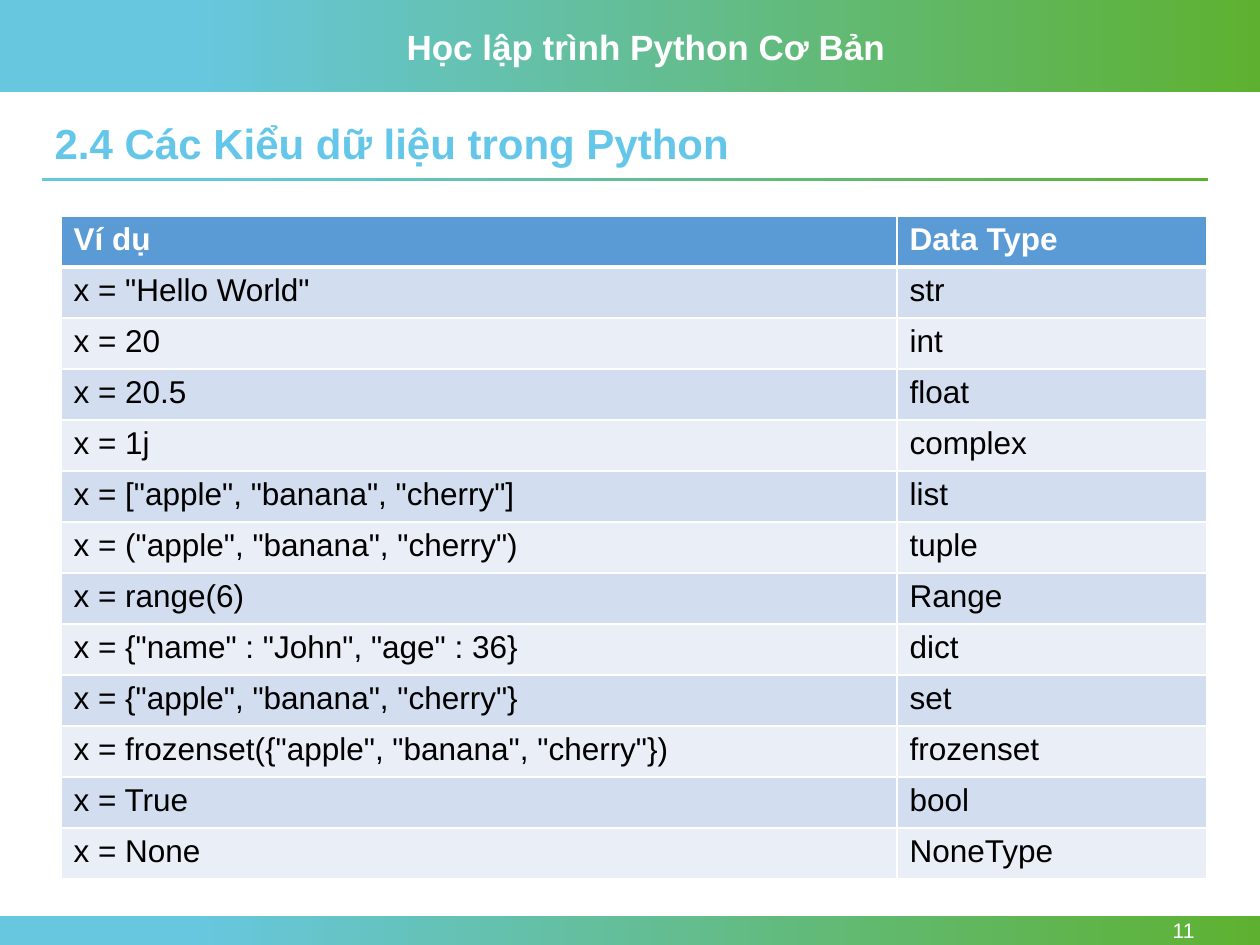
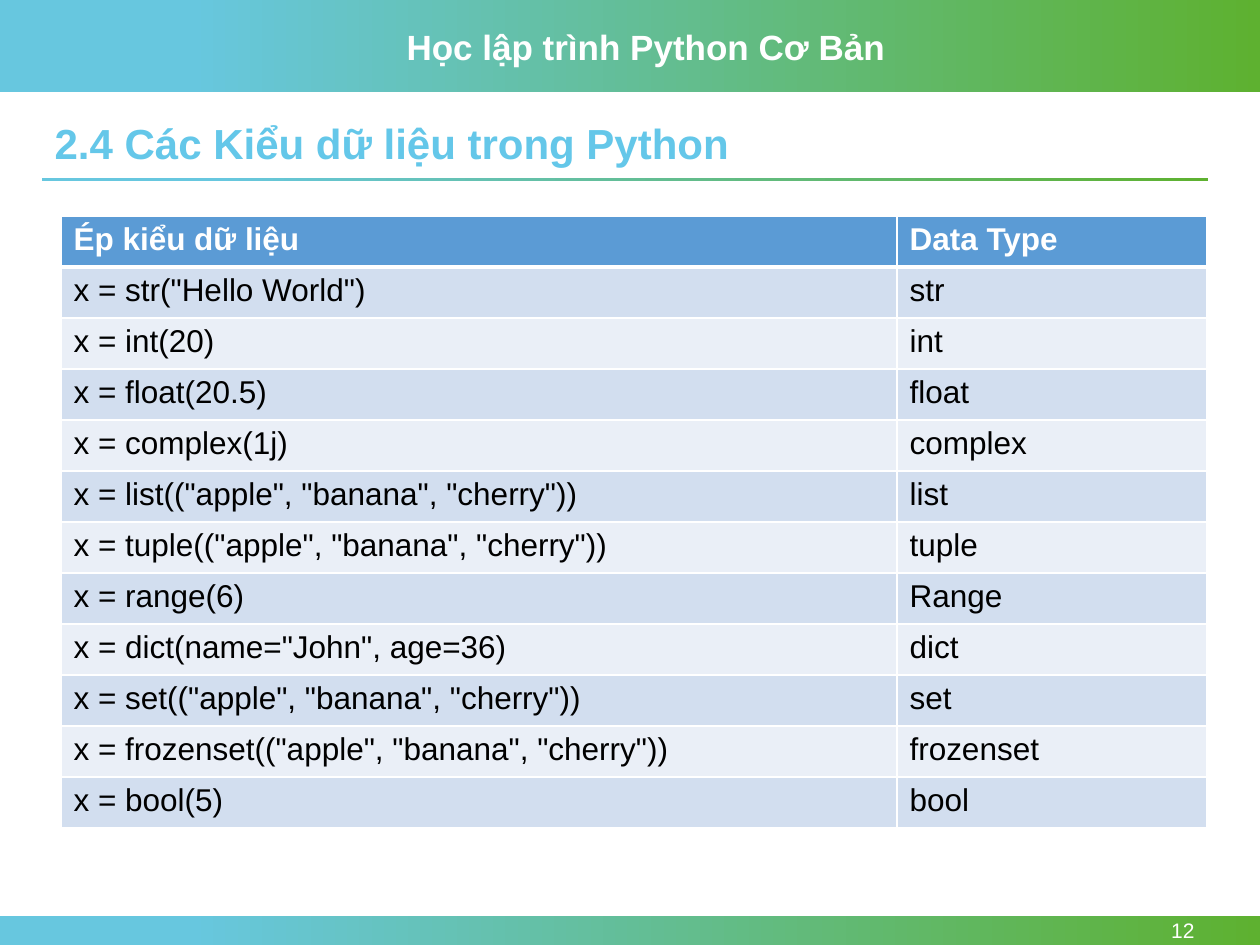
"""Build two lesson slides on Python data types."""
from dataclasses import dataclass
from lxml import etree
from pptx import Presentation
from pptx.dml.color import RGBColor
from pptx.enum.shapes import MSO_SHAPE
from pptx.enum.text import MSO_ANCHOR, MSO_AUTO_SIZE, PP_ALIGN
from pptx.oxml.ns import qn
from pptx.util import Emu, Pt

RECTANGLE = MSO_SHAPE.RECTANGLE
TOP, MIDDLE = MSO_ANCHOR.TOP, MSO_ANCHOR.MIDDLE
LEFT, CENTER, RIGHT = PP_ALIGN.LEFT, PP_ALIGN.CENTER, PP_ALIGN.RIGHT
NO_FIT = MSO_AUTO_SIZE.NONE

EMU_PER_PX = 914400 / 126
TITLE_ONLY = 5
WHITE, BLACK, TITLE_BLUE = "FFFFFF", "000000", "64C7E9"
GRADIENT = ((0.15, "67C7DF"), (1.0, "5EB130"))
HEAD_FILL, ROW_FILLS = "5B9BD5", ("D2DEEF", "EAEFF7")
COURSE = "Học lập trình Python Cơ Bản"
TITLE = "2.4 Các Kiểu dữ liệu trong Python"
ROW_HEIGHT = 51
COLUMN_WIDTHS = (836, 310)


@dataclass(frozen=True)
class Area:
    left: int
    top: int
    width: int
    height: int

    def emu(self) -> tuple[Emu, ...]:
        """Return the four lengths in EMU."""
        return tuple(px(n) for n in (self.left, self.top, self.width, self.height))


@dataclass(frozen=True)
class TextStyle:
    size: int
    color: str
    bold: bool = False
    align: PP_ALIGN = LEFT
    anchor: MSO_ANCHOR = TOP
    wrap: bool = True


@dataclass(frozen=True)
class Lesson:
    number: int
    heading: str
    rows: tuple[tuple[str, str], ...]


BANDS = (Area(0, 0, 1260, 92), Area(0, 916, 1260, 29), Area(42, 178, 1166, 3))
COURSE_AREA = Area(394, 19, 504, 55)
TITLE_AREA = Area(42, 117, 1166, 58)
NUMBER_AREA = Area(1091, 916, 116, 29)
TABLE_LEFT, TABLE_TOP = 61, 216

COURSE_STYLE = TextStyle(20, WHITE, bold=True, align=CENTER, wrap=False)
TITLE_STYLE = TextStyle(24, TITLE_BLUE, bold=True)
NUMBER_STYLE = TextStyle(12, WHITE, align=RIGHT, anchor=MIDDLE)
HEAD_STYLE = TextStyle(18, WHITE, bold=True)
CELL_STYLE = TextStyle(18, BLACK)

LESSONS = (
    Lesson(11, "Ví dụ", (
        ('x = "Hello World"', "str"),
        ("x = 20", "int"),
        ("x = 20.5", "float"),
        ("x = 1j", "complex"),
        ('x = ["apple", "banana", "cherry"]', "list"),
        ('x = ("apple", "banana", "cherry")', "tuple"),
        ("x = range(6)", "Range"),
        ('x = {"name" : "John", "age" : 36}', "dict"),
        ('x = {"apple", "banana", "cherry"}', "set"),
        ('x = frozenset({"apple", "banana", "cherry"})', "frozenset"),
        ("x = True", "bool"),
        ("x = None", "NoneType"),
    )),
    Lesson(12, "Ép kiểu dữ liệu", (
        ('x = str("Hello World")', "str"),
        ("x = int(20)", "int"),
        ("x = float(20.5)", "float"),
        ("x = complex(1j)", "complex"),
        ('x = list(("apple", "banana", "cherry"))', "list"),
        ('x = tuple(("apple", "banana", "cherry"))', "tuple"),
        ("x = range(6)", "Range"),
        ('x = dict(name="John", age=36)', "dict"),
        ('x = set(("apple", "banana", "cherry"))', "set"),
        ('x = frozenset(("apple", "banana", "cherry"))', "frozenset"),
        ("x = bool(5)", "bool"),
    )),
)


def px(length: int) -> Emu:
    """Turn pixels into EMU."""
    return Emu(round(length * EMU_PER_PX))


def rgb(value: str) -> RGBColor:
    """Turn a hex string into a colour."""
    return RGBColor.from_string(value)


def assign(target, values: dict) -> None:
    """Set every attribute named in values on the target."""
    for name, value in values.items():
        setattr(target, name, value)


def write(frame, text: str, style: TextStyle):
    """Write one styled paragraph and return it."""
    para = frame.paragraphs[0]
    para.alignment = style.align
    span = para.add_run()
    span.text = text
    assign(span.font, {"name": "Arial", "size": Pt(style.size), "bold": style.bold})
    span.font.color.rgb = rgb(style.color)
    return para


def fill_box(box, text: str, style: TextStyle):
    """Format the frame of a box, write its text and return the paragraph."""
    frame = box.text_frame
    assign(frame, {"word_wrap": style.wrap, "auto_size": NO_FIT,
                   "vertical_anchor": style.anchor})
    return write(frame, text, style)


def add_band(page, area: Area) -> None:
    """Draw a rectangle with the shared gradient."""
    band = page.shapes.add_shape(RECTANGLE, *area.emu())
    band.shadow.inherit = False
    band.line.fill.background()
    band.fill.gradient()
    band.fill.gradient_angle = 0
    for stop, (position, color) in zip(band.fill.gradient_stops, GRADIENT):
        stop.position = position
        stop.color.rgb = rgb(color)


def add_title(page) -> None:
    """Place and format the title placeholder."""
    title = page.shapes.title
    assign(title, dict(zip(("left", "top", "width", "height"), TITLE_AREA.emu())))
    para = fill_box(title, TITLE, TITLE_STYLE)
    assign(para, {"line_spacing": 0.9, "space_before": Pt(10)})


def add_borders(cell, row: int) -> None:
    """Give a cell white borders, thick below the heading row."""
    widths = {"lnL": 1, "lnR": 1, "lnT": 3 if row == 1 else 1, "lnB": 3 if row == 0 else 1}
    properties = cell._tc.get_or_add_tcPr()
    for tag, width in widths.items():
        line = etree.SubElement(properties, qn(f"a:{tag}"), w=str(Pt(width)))
        solid = etree.SubElement(line, qn("a:solidFill"))
        etree.SubElement(solid, qn("a:srgbClr"), val=WHITE)


def add_type_table(page, lesson: Lesson) -> None:
    """Draw the table of expressions and their data types."""
    rows = ((lesson.heading, "Data Type"), *lesson.rows)
    area = Area(TABLE_LEFT, TABLE_TOP, sum(COLUMN_WIDTHS), ROW_HEIGHT * len(rows))
    table = page.shapes.add_table(len(rows), len(COLUMN_WIDTHS), *area.emu()).table
    for column, width in zip(table.columns, COLUMN_WIDTHS):
        column.width = px(width)
    for row, texts in enumerate(rows):
        table.rows[row].height = px(ROW_HEIGHT)
        for column, text in enumerate(texts):
            cell = table.cell(row, column)
            add_borders(cell, row)
            cell.fill.solid()
            cell.fill.fore_color.rgb = rgb(ROW_FILLS[(row - 1) % 2] if row else HEAD_FILL)
            write(cell.text_frame, text, CELL_STYLE if row else HEAD_STYLE)


def add_lesson(deck, lesson: Lesson) -> None:
    """Add one complete lesson slide."""
    page = deck.slides.add_slide(deck.slide_layouts[TITLE_ONLY])
    for area in BANDS:
        add_band(page, area)
    for area, text, style in (
        (COURSE_AREA, COURSE, COURSE_STYLE),
        (NUMBER_AREA, str(lesson.number), NUMBER_STYLE),
    ):
        fill_box(page.shapes.add_textbox(*area.emu()), text, style)
    add_title(page)
    add_type_table(page, lesson)


def main() -> None:
    """Build and save the deck."""
    deck = Presentation()
    assign(deck, {"slide_width": px(1260), "slide_height": px(945)})
    for lesson in LESSONS:
        add_lesson(deck, lesson)
    deck.save("out.pptx")


if __name__ == "__main__":
    main()
